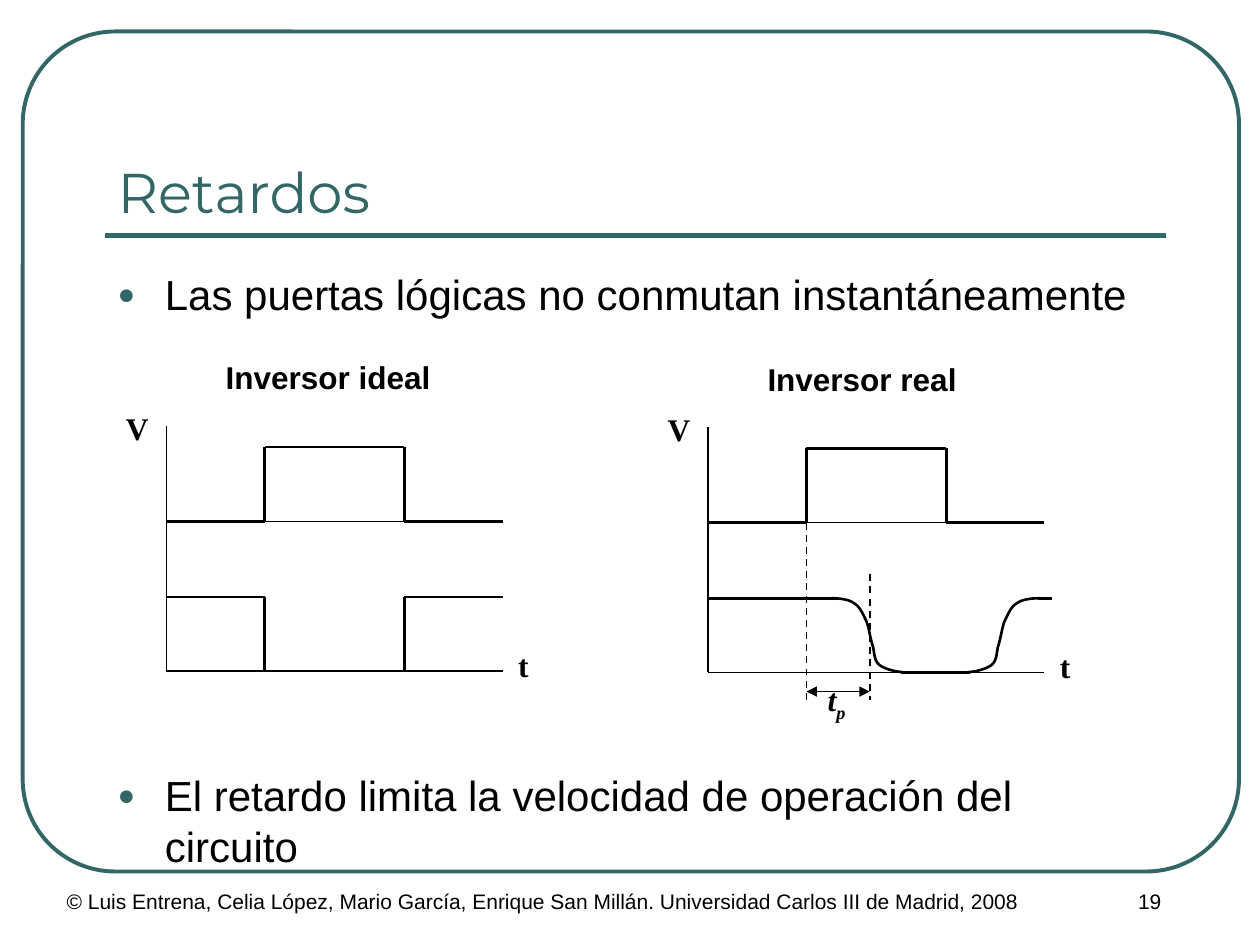
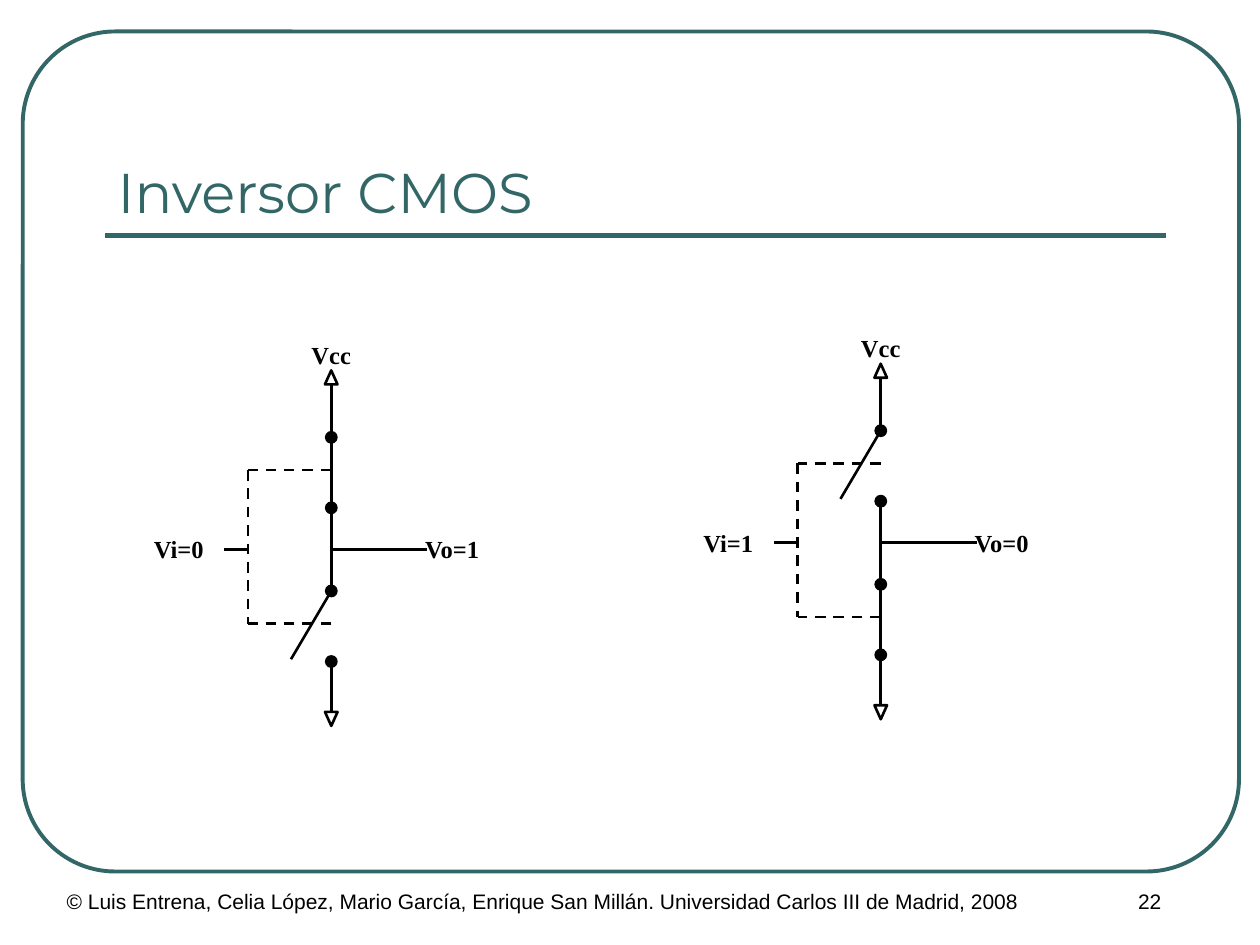
from dataclasses import dataclass
from itertools import pairwise

from lxml.etree import SubElement
from pptx import Presentation
from pptx.dml.color import RGBColor
from pptx.enum.dml import MSO_LINE
from pptx.enum.shapes import MSO_CONNECTOR, MSO_SHAPE
from pptx.enum.text import MSO_ANCHOR, MSO_AUTO_SIZE, PP_ALIGN
from pptx.oxml.ns import qn
from pptx.util import Pt

COLORS = {"teal": "336666", "ink": "000000"}
FOOTER = ("© Luis Entrena, Celia López, Mario García, Enrique San Millán. "
          "Universidad Carlos III de Madrid, 2008")
TITLE_FONT = {"name": "Montserrat", "size": Pt(32), "bold": False}
BODY_FONT = {"name": "Arial", "size": Pt(24)}
FOOTER_FONT = {"name": "Arial", "size": Pt(12)}
HEADING_FONT = {"name": "Arial", "size": Pt(18), "bold": True}
AXIS_FONT = {"name": "Times New Roman", "size": Pt(18), "bold": True}
DELAY_FONT = AXIS_FONT | {"italic": True}
PIN_FONT = {"name": "Times New Roman", "size": Pt(14), "bold": True}
EDGE_CURVE = [
    (0, 0), (5, 0), (10.1, 0.7), (13, 2.9),
    (16.6, 5), (18, 9.4), (20.2, 13.7),
    (21.6, 18), (22.3, 23.8), (23.8, 28.1),
    (24.5, 31.7), (24.5, 36), (27.4, 38.2),
    (30.2, 40.3), (35.3, 41.8), (41, 42.3),
]


def rgb(name):
    """Return the named colour."""
    return RGBColor.from_string(COLORS[name])


def apply_format(target, values):
    """Set every attribute in a dict of format values."""
    for key, value in values.items():
        setattr(target, key, value)


def add_span(para, text, font, color="ink"):
    """Add a formatted run to a paragraph."""
    span = para.add_run()
    span.text = text
    apply_format(span.font, font)
    span.font.color.rgb = rgb(color)
    return span


def place(shape, box):
    """Move a shape to a box of left, top, width and height."""
    apply_format(shape, dict(zip(("left", "top", "width", "height"), map(Pt, box))))


def bezier_points(controls, steps=6):
    """Sample a chain of cubic curves."""
    points = [controls[0]]
    for start in range(0, len(controls) - 1, 3):
        corners = controls[start:start + 4]
        for step in range(1, steps + 1):
            t = step / steps
            weights = ((1 - t) ** 3, 3 * t * (1 - t) ** 2, 3 * t * t * (1 - t), t ** 3)
            points.append(tuple(sum(w * c[axis] for w, c in zip(weights, corners))
                                for axis in (0, 1)))
    return points


@dataclass
class Panel:
    """A region of a page whose parts are placed from its top left corner."""
    page: object
    left: float = 0
    top: float = 0

    def lines(self, points, weight=1.5, color="ink", dashed=False, arrows=False):
        """Join successive points with straight connectors."""
        for start, end in pairwise(points):
            ends = [Pt(value + shift) for point in (start, end)
                    for value, shift in zip(point, (self.left, self.top))]
            link = self.page.shapes.add_connector(MSO_CONNECTOR.STRAIGHT, *ends)
            link.line.color.rgb = rgb(color)
            link.line.width = Pt(weight)
            if dashed:
                link.line.dash_style = MSO_LINE.DASH
            properties = link._element.spPr
            if arrows:
                for tag in ("a:headEnd", "a:tailEnd"):
                    SubElement(properties.find(qn("a:ln")), qn(tag), type="triangle")
            SubElement(properties, qn("a:effectLst"))

    def outline(self, shape, weight=1.5, color="ink", fill=None):
        """Give a shape its line and fill without a shadow."""
        shape.shadow.inherit = False
        shape.line.color.rgb = rgb(color)
        shape.line.width = Pt(weight)
        if fill:
            shape.fill.solid()
            shape.fill.fore_color.rgb = rgb(fill)
        else:
            shape.fill.background()

    def shape(self, kind, box, **style):
        """Add a preset shape."""
        x, y, width, height = box
        shape = self.page.shapes.add_shape(
            kind, *map(Pt, (self.left + x, self.top + y, width, height)))
        self.outline(shape, **style)
        return shape

    def curve(self, controls):
        """Add a smooth open outline."""
        points = [(Pt(self.left + x), Pt(self.top + y))
                  for x, y in bezier_points(controls)]
        builder = self.page.shapes.build_freeform(*points[0])
        builder.add_line_segments(points[1:], close=False)
        self.outline(builder.convert_to_shape())

    def label(self, text, box, font, align=PP_ALIGN.CENTER, wrap=False):
        """Add a text box and return its paragraph."""
        x, y, width, height = box
        frame = self.page.shapes.add_textbox(
            *map(Pt, (self.left + x, self.top + y, width, height))).text_frame
        frame.word_wrap = wrap
        para = frame.paragraphs[0]
        para.alignment = align
        add_span(para, text, font)
        return para


def add_page(deck, layout, title, number):
    """Add a page with the shared frame, title, rule and footer."""
    page = deck.slides.add_slide(deck.slide_layouts[layout])
    panel = Panel(page)
    frame = panel.shape(MSO_SHAPE.ROUNDED_RECTANGLE, (13, 18, 695, 480),
                        weight=2.25, color="teal")
    frame.adjustments[0] = 0.11
    panel.lines([(60, 134.6), (666, 134.6)], weight=3, color="teal")
    panel.label(FOOTER, (31, 504, 563, 36), FOOTER_FONT, PP_ALIGN.LEFT, True)
    panel.label(number, (594, 504, 126, 36), FOOTER_FONT, wrap=True)
    heading = page.shapes.title
    place(heading, (60, 42, 606, 90))
    apply_format(heading.text_frame, {"vertical_anchor": MSO_ANCHOR.BOTTOM,
                                      "auto_size": MSO_AUTO_SIZE.NONE})
    para = heading.text_frame.paragraphs[0]
    para.alignment = PP_ALIGN.LEFT
    add_span(para, title, TITLE_FONT, "teal")
    return page


def fill_bullets(holder, box, items):
    """Fill the body placeholder with pairs of text and space before."""
    place(holder, box)
    frame = holder.text_frame
    frame.auto_size = MSO_AUTO_SIZE.NONE
    for index, (text, gap) in enumerate(items):
        para = frame.add_paragraph() if index else frame.paragraphs[0]
        para.space_before = Pt(gap)
        add_span(para, text, BODY_FONT)
        properties = para._p.get_or_add_pPr()
        properties.set("marL", str(Pt(27)))
        properties.set("indent", str(-Pt(27)))
        SubElement(SubElement(properties, qn("a:buClr")), qn("a:srgbClr"),
                   val=COLORS["teal"])
        SubElement(properties, qn("a:buSzPct"), val="70000")
        SubElement(properties, qn("a:buFont"), typeface="Arial")
        SubElement(properties, qn("a:buChar"), char="●")


def draw_waveforms(panel, heading, heading_width, real=False):
    """Draw the input and output signals of an inverter over time."""
    rise, fall, end = 56.2, 136.1, 192.2
    in_high, in_low, out_high, out_low = 12.2, 54.7, 97.9, 140.2
    panel.label(heading, (0, -42, heading_width, 29), HEADING_FONT)
    panel.label("V", (-30.2, -13, 27, 29), AXIS_FONT)
    panel.label("t", (194, 122.4, 20, 29), AXIS_FONT)
    panel.lines([(0, 0), (0, out_low), (end, out_low)], weight=0.75)
    panel.lines([(rise, in_low), (fall, in_low)], weight=0.75)
    panel.lines([(0, in_low), (rise, in_low), (rise, in_high),
                 (fall, in_high), (fall, in_low), (end, in_low)])
    if real:
        draw_delayed_output(panel, rise, in_low, out_high, out_low)
    else:
        panel.lines([(0, out_high), (rise, out_high), (rise, out_low),
                     (fall, out_low), (fall, out_high), (end, out_high)])


def draw_delayed_output(panel, rise, in_low, high, low):
    """Draw the slow output edges and the propagation delay."""
    fall_start, rise_end, switched, bottom = 70.6, 189.4, 92.4, 156.2
    panel.lines([(0, high), (fall_start + 3, high)])
    panel.curve([(fall_start + x, high + y) for x, y in EDGE_CURVE])
    panel.lines([(110.2, low), (149.8, low)])
    panel.curve([(rise_end - x, high + y) for x, y in EDGE_CURVE])
    panel.lines([(rise_end - 1, high), (196.6, high)])
    for x, top in ((rise, in_low), (switched, 84.2)):
        panel.lines([(x, top), (x, bottom)], weight=1, dashed=True)
    panel.lines([(rise, 151.2), (switched, 151.2)], weight=0.75, arrows=True)
    para = panel.label("t", (61.2, 141.1, 24.5, 31.7), DELAY_FONT)
    subscript = add_span(para, "p", DELAY_FONT)
    subscript.font._element.set("baseline", "-25000")


def draw_inverter(panel, input_text, output_text, open_switch):
    """Draw two linked switches between the supply and ground."""
    rail, gate, middle = 108.7, 61.2, 123.1
    contacts = [(59.1, 99.4), (146.9, 187.2)]
    panel.label("Vcc", (rail - 18.4, 0, 36.8, 24.5), PIN_FONT)
    panel.label(input_text, (0, 111, 43.2, 24.5), PIN_FONT)
    panel.label(output_text, (154.8, 111, 46, 24.5), PIN_FONT)
    for top, turn in ((20.9, 0), (216, 180)):
        arrow = panel.shape(MSO_SHAPE.ISOSCELES_TRIANGLE, (rail - 3.6, top, 7.2, 8))
        arrow.rotation = turn
    for start, end in ((28.9, contacts[0][0]), (contacts[0][1], contacts[1][0]),
                       (contacts[1][1], 216)):
        panel.lines([(rail, start), (rail, end)])
    for index, (upper, lower) in enumerate(contacts):
        is_open = index == open_switch
        tip = (rail - 23, upper + 39) if is_open else (rail, lower)
        panel.lines([(rail, upper), tip])
        for y in (upper, lower):
            panel.shape(MSO_SHAPE.OVAL, (rail - 2.9, y - 2.9, 5.8, 5.8), fill="ink")
    for y in (77.8, 165.6):
        panel.lines([(rail, y), (gate, y)], dashed=True)
    panel.lines([(gate, 77.8), (gate, 165.6)], dashed=True)
    panel.lines([(gate, middle), (47.5, middle)])
    panel.lines([(rail, middle), (163.4, middle)])


def build_delay_page(deck):
    """Build the page on gate delays."""
    page = add_page(deck, 1, "Retardos", "19")
    fill_bullets(page.placeholders[1], (60, 150, 606, 348), [
        ("Las puertas lógicas no conmutan instantáneamente", 12),
        ("El retardo limita la velocidad de operación del circuito", 257.5)])
    draw_waveforms(Panel(page, 95, 243.3), "Inversor ideal", 185)
    draw_waveforms(Panel(page, 404.6, 244), "Inversor real", 176, real=True)


def build_inverter_page(deck):
    """Build the page on the two states of the inverter."""
    page = add_page(deck, 5, "Inversor CMOS", "22")
    draw_inverter(Panel(page, 80.6, 190.8), "Vi=0", "Vo=1", open_switch=1)
    draw_inverter(Panel(page, 394.6, 187), "Vi=1", "Vo=0", open_switch=0)


def main():
    """Build and save the deck."""
    deck = Presentation()
    deck.slide_width, deck.slide_height = Pt(720), Pt(540)
    build_delay_page(deck)
    build_inverter_page(deck)
    deck.save("out.pptx")


if __name__ == "__main__":
    main()
